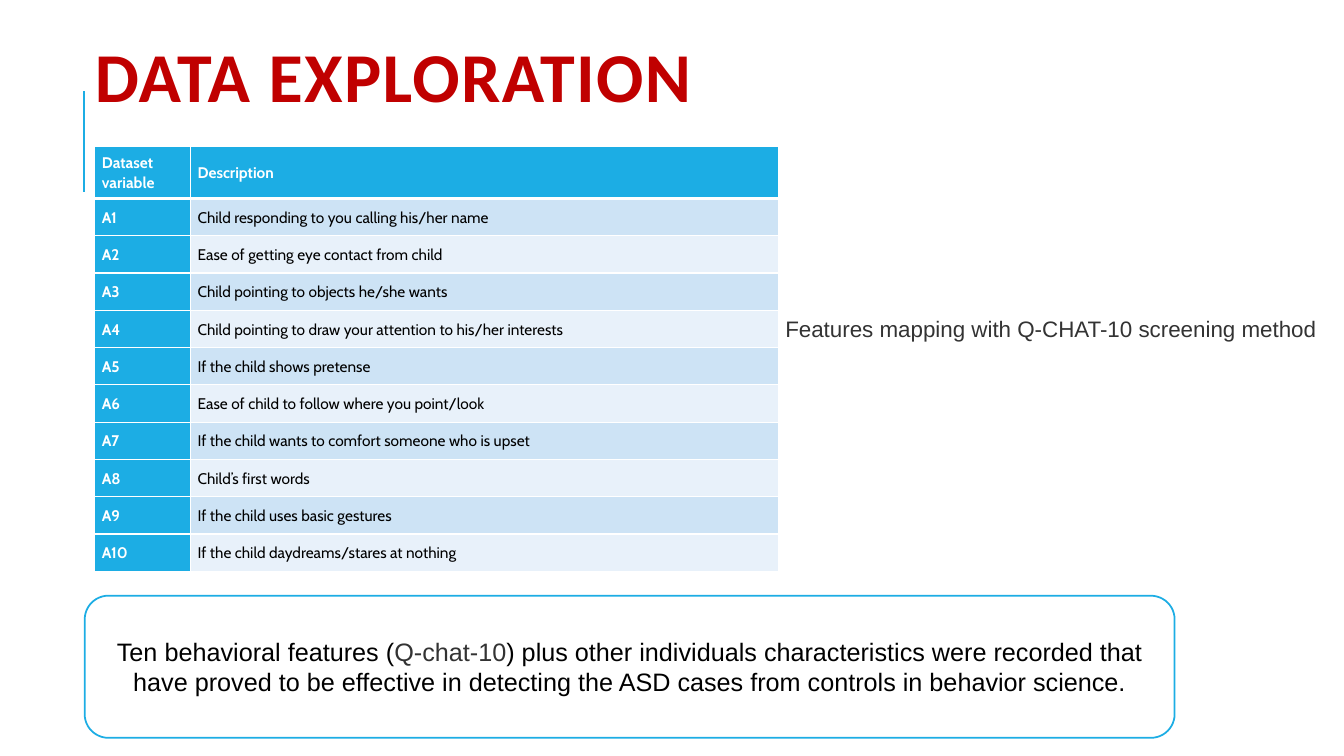
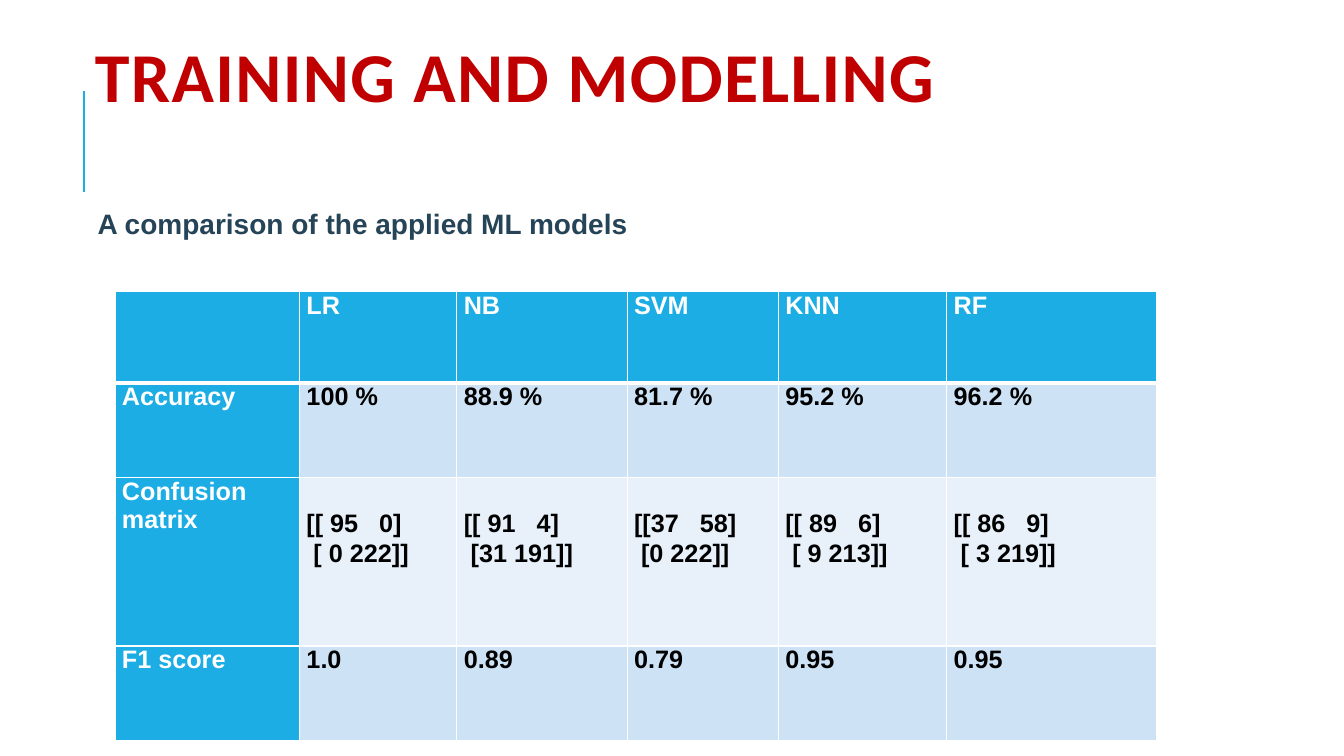
import pptx
import pptx.util
import pptx.dml.color
import pptx.enum.shapes
import pptx.enum.text
import pptx.oxml
import pptx.oxml.ns
from pptx.util import Inches
import lxml.etree

# Shared colours and fonts
ACCENT = "1CADE4"
TITLE_RED = "C00000"
WHITE = "FFFFFF"
BLACK = "000000"
GREY = "333333"
NAVY = "264457"
BANDS = ("CDE3F5", "E8F1FA")
TITLE_FONT = "Calibri"
BODY_FONT = "Arial"
TABLE_FONT = "Cabin"
MIDDLE = pptx.enum.text.MSO_ANCHOR.MIDDLE

# Slide content
FEATURES = [
    "Child responding to you calling his/her name",
    "Ease of getting eye contact from child",
    "Child pointing to objects he/she wants",
    "Child pointing to draw your attention to his/her interests",
    "If the child shows pretense",
    "Ease of child to follow where you point/look",
    "If the child wants to comfort someone who is upset",
    "Child’s first words",
    "If the child uses basic gestures",
    "If the child daydreams/stares at nothing",
]
MODEL_RESULTS = [
    ["", "LR", "NB", "SVM", "KNN", "RF"],
    ["Accuracy", "100 %", "88.9 %", "81.7 %", "95.2 %", "96.2 %"],
    ["Confusion matrix", "[[ 95   0]\n [ 0 222]]", "[[ 91   4]\n [31 191]]",
     "[[37   58]\n [0 222]]", "[[ 89   6]\n [ 9 213]]", "[[ 86   9]\n [ 3 219]]"],
    ["F1 score", "1.0", "0.89", "0.79", "0.95", "0.95"],
]


def color(hex_string):
    return pptx.dml.color.RGBColor.from_string(hex_string)


def box(left, top, width, height):
    return Inches(left), Inches(top), Inches(width), Inches(height)


def set_font(font, name, size, hex_string, bold=False):
    font.name = name
    font.size = pptx.util.Pt(size)
    font.color.rgb = color(hex_string)
    font.bold = bold


# Slide frame: title and the accent line beside it
def add_slide(presentation, title_text):
    slide = presentation.slides.add_slide(presentation.slide_layouts[5])
    line = slide.shapes.add_connector(
        pptx.enum.shapes.MSO_CONNECTOR.STRAIGHT,
        Inches(0.83), Inches(1.9), Inches(0.83), Inches(0.9))
    line.line.color.rgb = color(ACCENT)
    line.line.width = pptx.util.Pt(1.5)
    lxml.etree.SubElement(line._element.spPr, pptx.oxml.ns.qn("a:effectLst"))

    title = slide.shapes.title
    title.left, title.top, title.width, title.height = box(0.84, 0, 10.63, 1.64)
    frame = title.text_frame
    frame.text = title_text
    frame.vertical_anchor = MIDDLE
    frame.auto_size = pptx.enum.text.MSO_AUTO_SIZE.NONE
    paragraph = frame.paragraphs[0]
    paragraph.alignment = pptx.enum.text.PP_ALIGN.LEFT
    paragraph.line_spacing = 0.8
    set_font(paragraph.font, TITLE_FONT, 50, TITLE_RED, True)
    paragraph.runs[0].font._element.set("spc", "100")
    return slide


def add_text(slide, place, text, size, hex_string, bold=False, left_margin=0.1):
    frame = slide.shapes.add_textbox(*place).text_frame
    frame.word_wrap = True
    frame.margin_left = Inches(left_margin)
    frame.text = text
    set_font(frame.paragraphs[0].font, BODY_FONT, size, hex_string, bold)


def add_callout(slide, place, parts):
    shape = slide.shapes.add_shape(
        pptx.enum.shapes.MSO_SHAPE.ROUNDED_RECTANGLE, *place)
    shape.shadow.inherit = False
    shape.fill.solid()
    shape.fill.fore_color.rgb = color(WHITE)
    shape.line.color.rgb = color(ACCENT)
    shape.line.width = pptx.util.Pt(1.25)
    shape.text_frame.vertical_anchor = MIDDLE
    paragraph = shape.text_frame.paragraphs[0]
    paragraph.alignment = pptx.enum.text.PP_ALIGN.CENTER
    for text, hex_string in parts:
        run = paragraph.add_run()
        run.text = text
        set_font(run.font, BODY_FONT, 18, hex_string)


# Tables: accent header row and first column, banded body
def set_borders(cell, row_index):
    widths = {"L": 1, "R": 1, "T": 3 if row_index == 1 else 1,
              "B": 3 if row_index == 0 else 1}
    properties = cell._tc.get_or_add_tcPr()
    for side, width in widths.items():
        properties.append(pptx.oxml.parse_xml(
            f'<a:ln{side} {pptx.oxml.ns.nsdecls("a")} w="{pptx.util.Pt(width)}">'
            f'<a:solidFill><a:srgbClr val="{WHITE}"/></a:solidFill></a:ln{side}>'))


def add_table(slide, left, top, widths, heights, rows, style_cell):
    table = slide.shapes.add_table(
        len(rows), len(widths),
        *box(left, top, sum(widths), sum(heights))).table
    for column, width in zip(table.columns, widths):
        column.width = Inches(width)
    for row_index, (row, height) in enumerate(zip(rows, heights)):
        table.rows[row_index].height = Inches(height)
        for column_index, text in enumerate(row):
            cell = table.cell(row_index, column_index)
            heading = row_index == 0 or column_index == 0
            set_borders(cell, row_index)
            cell.fill.solid()
            cell.fill.fore_color.rgb = color(
                ACCENT if heading else BANDS[(row_index - 1) % 2])
            cell.margin_left = cell.margin_right = Inches(0.07)
            cell.text = text
            style_cell(cell, heading)


def style_feature_cell(cell, heading):
    cell.vertical_anchor = MIDDLE
    cell.margin_top = cell.margin_bottom = Inches(0.03)
    paragraph = cell.text_frame.paragraphs[0]
    paragraph.line_spacing = 1.07
    set_font(paragraph.font, TABLE_FONT, 11, WHITE if heading else BLACK, heading)


def style_result_cell(cell, heading):
    paragraphs = cell.text_frame.paragraphs
    is_matrix = len(paragraphs) > 1
    cell.margin_top = Inches(0.3 if is_matrix else 0)
    cell.margin_bottom = 0
    for paragraph in paragraphs:
        if is_matrix:
            paragraph.line_spacing = 1.07
        set_font(paragraph.font, BODY_FONT, 18, WHITE if heading else BLACK, True)


def build_exploration(presentation):
    slide = add_slide(presentation, "DATA EXPLORATION")
    add_callout(slide, box(0.84, 5.91, 10.81, 1.41), [
        ("Ten behavioral features (", BLACK),
        ("Q-chat-10", GREY),
        (") plus other individuals characteristics were recorded that have proved "
         "to be effective in detecting the ASD cases from controls in behavior "
         "science.", BLACK),
    ])
    rows = [["Dataset variable", "Description"]]
    rows += [[f"A{number}", text] for number, text in enumerate(FEATURES, 1)]
    add_table(slide, 0.94, 1.45, [0.95, 5.83], [0.52] + [0.37] * len(FEATURES),
              rows, style_feature_cell)
    add_text(slide, box(7.69, 3.08, 5.6, 0.37),
             "Features mapping with Q-CHAT-10 screening method", 16, GREY)


def build_modelling(presentation):
    slide = add_slide(presentation, "TRAINING AND MODELLING")
    add_table(slide, 1.14, 2.89, [1.83, 1.56, 1.69, 1.5, 1.67, 2.08],
              [0.91, 0.94, 1.67, 0.94], MODEL_RESULTS, style_result_cell)
    add_text(slide, box(0.81, 2, 7.33, 0.44),
             "A comparison of the applied ML models", 20, NAVY, True, 0.16)


def main():
    presentation = pptx.Presentation()
    presentation.slide_width = Inches(13.33)
    presentation.slide_height = Inches(7.5)
    build_exploration(presentation)
    build_modelling(presentation)
    presentation.save("out.pptx")


main()
